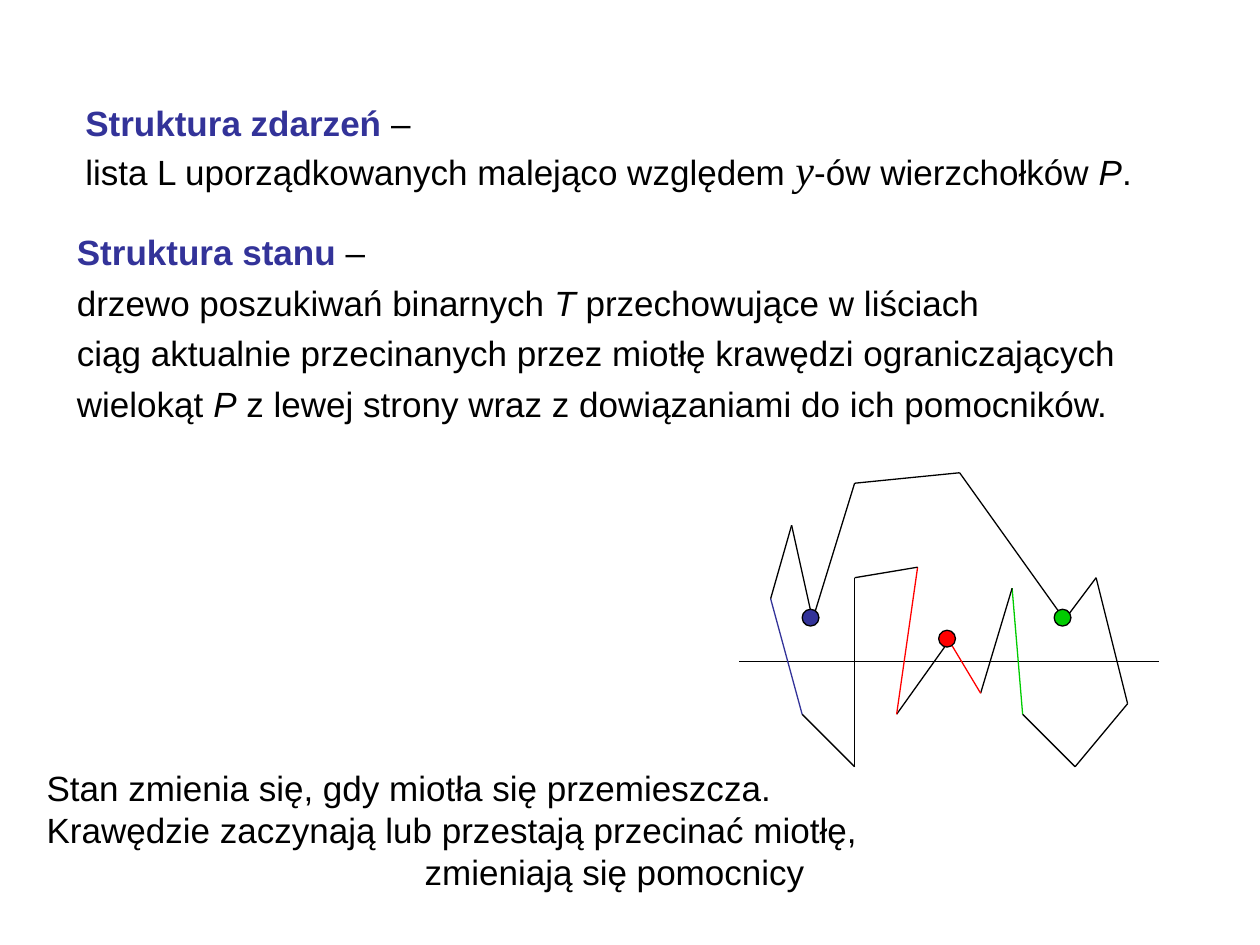
"""Builds the slide on event and state structures of the sweep-line algorithm."""
from dataclasses import dataclass

from pptx import Presentation
from pptx import util as u
from pptx.dml.color import RGBColor
from pptx.enum import shapes, text
from pptx.oxml.ns import qn
from lxml import etree


@dataclass(frozen=True)
class Theme:
    font: str = "Arial"
    math_font: str = "Times New Roman"
    size: int = 20
    math_size: int = 24
    line_width: float = 0.75
    black: RGBColor = RGBColor(0, 0, 0)
    blue: RGBColor = RGBColor(0x33, 0x33, 0x99)
    red: RGBColor = RGBColor(0xFF, 0, 0)
    green: RGBColor = RGBColor(0, 0xCC, 0)


THEME = Theme()

TEXT_BLOCKS = [
    {"box": (1.47, 1.93, 21.62, 2.13), "wrap": False, "space": 0, "paragraphs": [
        [("Struktura zdarzeń", "heading"), (" –", "plain")],
        [("lista L uporządkowanych malejąco względem ", "plain"), ("y", "math"),
         ("-ów wierzchołków", "plain"), (" P", "italic"), (".", "plain")],
    ]},
    {"box": (1.3, 4.52, 21.64, 4.17), "wrap": False, "space": 5, "paragraphs": [
        [("Struktura stanu", "heading"), (" –", "plain")],
        [("drzewo poszukiwań binarnych ", "plain"), ("T", "italic"),
         (" przechowujące w liściach", "plain")],
        [("ciąg aktualnie przecinanych przez miotłę krawędzi ograniczających", "plain")],
        [("wielokąt ", "plain"), ("P", "italic"),
         (" z lewej strony wraz z dowiązaniami do ich pomocników.", "plain")],
    ]},
    {"box": (0.69, 15.32, 21.21, 2.79), "wrap": True, "space": 0, "indents": {2: 7.62},
     "paragraphs": [
        [("Stan zmienia się, gdy miotła się przemieszcza.", "plain")],
        [("Krawędzie zaczynają lub przestają przecinać miotłę,", "plain")],
        [("zmieniają się pomocnicy", "plain")],
    ]},
]

GRID_LEFT, GRID_TOP, GRID_STEP = 14.9, 9.53, 2.54 / 12
POLYGON = [(3, 12), (5, 5), (7, 14), (11, 1), (21, 0), (31, 14), (34, 10), (37, 22),
           (32, 28), (27, 23), (26, 11), (23, 21), (20, 16), (15, 23), (17, 9),
           (11, 10), (11, 28), (6, 23)]
LEFT_EDGES = {(27, 23): THEME.green, (23, 21): THEME.red,
              (15, 23): THEME.red, (6, 23): THEME.blue}
SWEEP_LINE = ((0, 18), (40, 18))
HELPERS = [((6, 13), THEME.blue), ((19, 15), THEME.red), ((30, 13), THEME.green)]
HELPER_SIZE = 1.6


def grid(point):
    column, row = point
    return u.Cm(GRID_LEFT + column * GRID_STEP), u.Cm(GRID_TOP + row * GRID_STEP)


def add_run(paragraph, content, style):
    run = paragraph.add_run()
    run.text = content
    font = run.font
    if style == "heading":
        font.bold = True
        font.color.rgb = THEME.blue
    elif style == "math":
        font.name, font.size, font.italic = THEME.math_font, u.Pt(THEME.math_size), True
    elif style == "italic":
        font.italic = True


def add_text(slide, block):
    frame = slide.shapes.add_textbox(*map(u.Cm, block["box"])).text_frame
    frame.word_wrap = block["wrap"]
    frame.auto_size = text.MSO_AUTO_SIZE.SHAPE_TO_FIT_TEXT
    for index, runs in enumerate(block["paragraphs"]):
        paragraph = frame.paragraphs[0] if index == 0 else frame.add_paragraph()
        if index:
            paragraph.space_before = u.Pt(block["space"])
        indent = block.get("indents", {}).get(index)
        if indent:
            paragraph._p.get_or_add_pPr().set("marL", str(u.Cm(indent)))
        paragraph.font.name = THEME.font
        paragraph.font.size = u.Pt(THEME.size)
        paragraph.font.color.rgb = THEME.black
        for content, style in runs:
            add_run(paragraph, content, style)


def add_line(group, start, end, color):
    line = group.shapes.add_connector(
        shapes.MSO_CONNECTOR.STRAIGHT, *grid(start), *grid(end))
    line.line.color.rgb = color
    line.line.width = u.Pt(THEME.line_width)
    etree.SubElement(line._element.spPr, qn("a:effectLst"))


def add_helper(group, corner, color):
    size = u.Cm(HELPER_SIZE * GRID_STEP)
    helper = group.shapes.add_shape(shapes.MSO_SHAPE.OVAL, *grid(corner), size, size)
    helper.shadow.inherit = False
    helper.fill.solid()
    helper.fill.fore_color.rgb = color
    helper.line.color.rgb = THEME.black
    helper.line.width = u.Pt(THEME.line_width)


def main():
    presentation = Presentation()
    presentation.slide_width, presentation.slide_height = u.Cm(25.4), u.Cm(19.05)
    slide = presentation.slides.add_slide(presentation.slide_layouts[6])
    for block in TEXT_BLOCKS:
        add_text(slide, block)
    group = slide.shapes.add_group_shape()
    add_line(group, *SWEEP_LINE, THEME.black)
    for start, end in zip(POLYGON, POLYGON[1:] + POLYGON[:1]):
        add_line(group, start, end, LEFT_EDGES.get(start, THEME.black))
    for corner, color in HELPERS:
        add_helper(group, corner, color)
    presentation.save("out.pptx")


if __name__ == "__main__":
    main()
